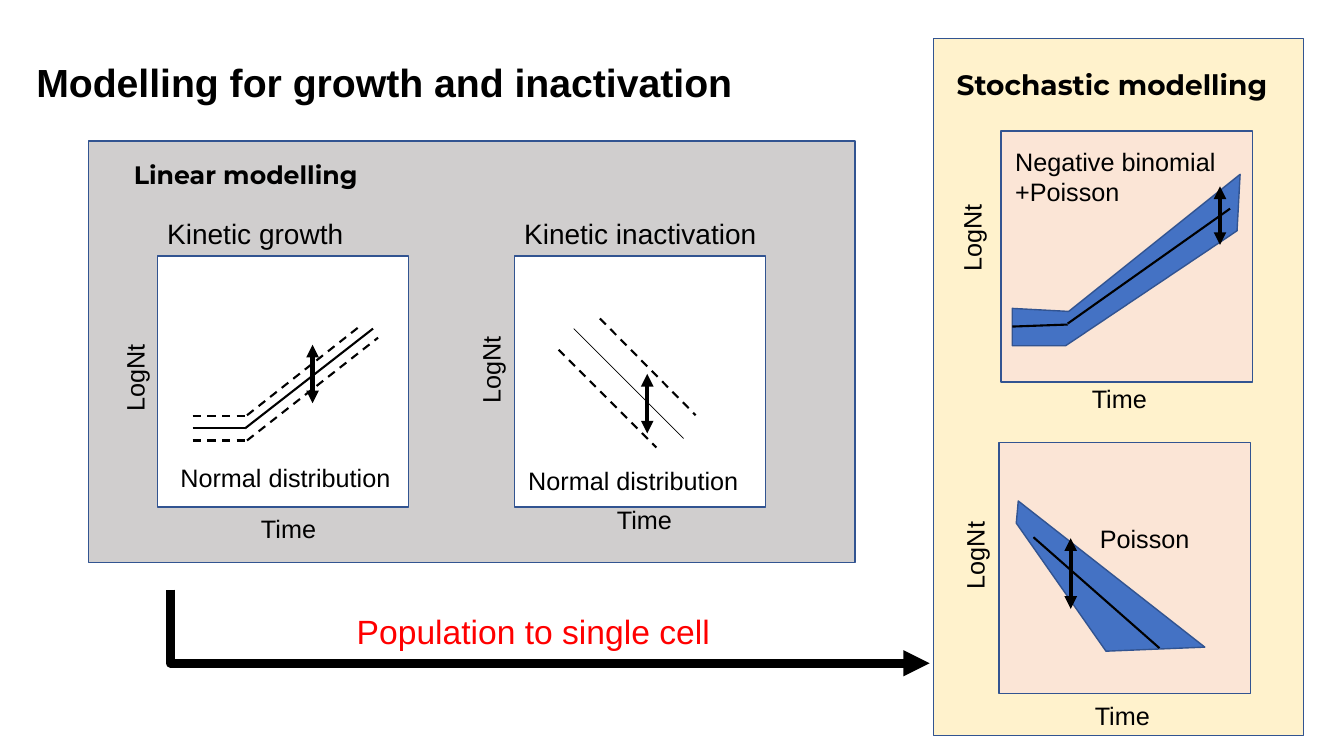
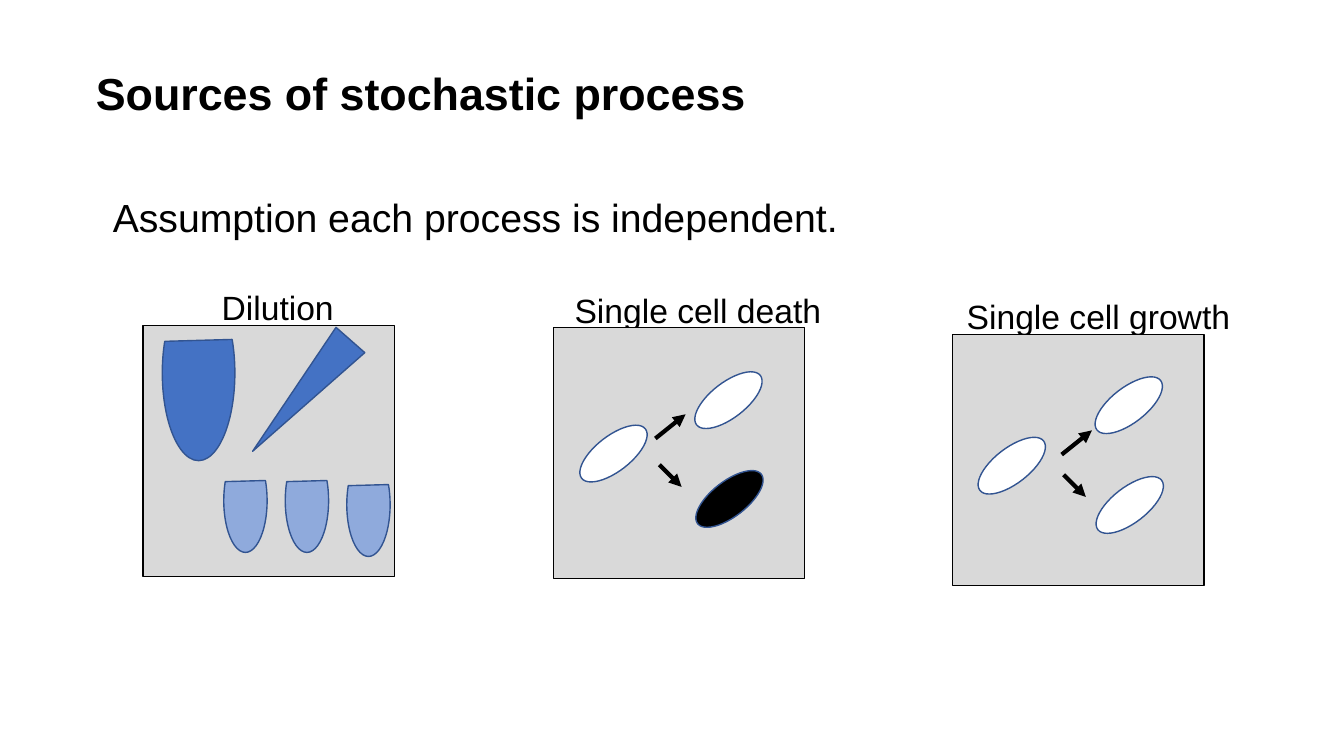
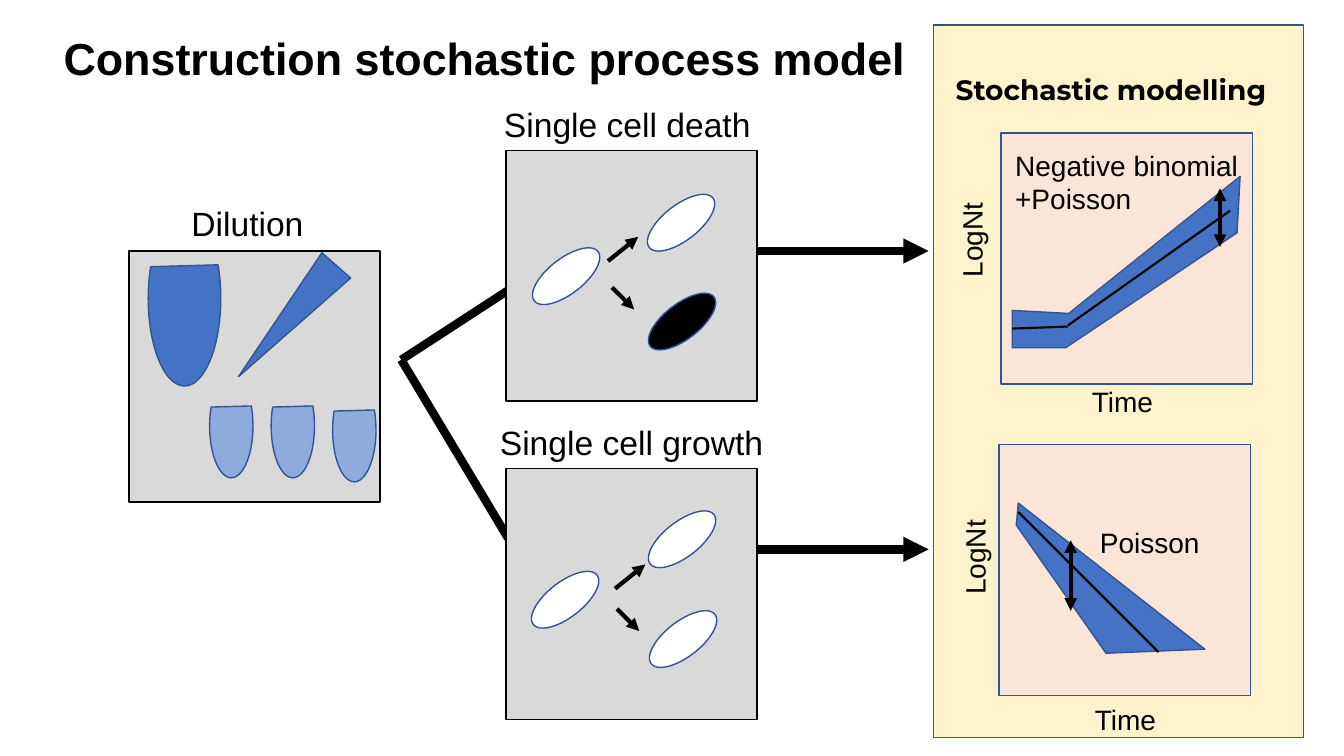
from dataclasses import dataclass

from lxml.etree import SubElement
from pptx import Presentation
from pptx.dml.color import RGBColor
from pptx.enum.dml import MSO_LINE_DASH_STYLE as Dash
from pptx.enum.shapes import MSO_CONNECTOR as Link, MSO_SHAPE as Preset
from pptx.enum.text import MSO_ANCHOR as Anchor, MSO_AUTO_SIZE as AutoSize, PP_ALIGN as Align
from pptx.oxml.ns import qn
from pptx.util import Pt

PX = 9144
PLOT_SIDE = 249


@dataclass(frozen=True)
class Theme:
    font: str = "Arial"
    heading_font: str = "Montserrat"
    ink: str = "000000"
    accent: str = "FF0000"
    outline: str = "325491"
    white: str = "FFFFFF"
    linear_panel: str = "D0CECE"
    stochastic_panel: str = "FFF2CC"
    stochastic_plot: str = "FBE5D6"
    process_box: str = "D9D9D9"
    liquid: str = "4472C4"
    diluted: str = "8FAADC"
    title: int = 32
    compact_title: int = 28
    process: int = 24
    heading: int = 20
    small: int = 18
    hairline: float = 0.5
    border: float = 1
    curve: float = 1.5
    arrow: float = 3
    flow: float = 6


THEME = Theme()


def rgb(value):
    return RGBColor.from_string(value)


def emu(*lengths):
    return [length * PX for length in lengths]


def paint(shape, fill, outline=THEME.outline):
    shape.shadow.inherit = False
    shape.fill.solid()
    shape.fill.fore_color.rgb = rgb(fill)
    shape.line.color.rgb = rgb(outline)
    shape.line.width = Pt(THEME.border)


def figure(slide, preset, box, fill, outline=THEME.outline, rotation=0):
    shape = slide.shapes.add_shape(preset, *emu(*box))
    shape.rotation = rotation
    paint(shape, fill, outline)
    return shape


def band(slide, points, fill):
    builder = slide.shapes.build_freeform(*points[0], scale=PX)
    builder.add_line_segments(points[1:], close=True)
    paint(builder.convert_to_shape(), fill)


def write(shape, text, size, font=THEME.font, color=THEME.ink, bold=False,
          align=Align.LEFT, anchor=Anchor.TOP):
    frame = shape.text_frame
    frame.text = text
    frame.word_wrap = False
    frame.auto_size = AutoSize.NONE
    frame.vertical_anchor = anchor
    for paragraph in frame.paragraphs:
        paragraph.alignment = align
        paragraph.font.name = font
        paragraph.font.size = Pt(size)
        paragraph.font.bold = bold
        paragraph.font.color.rgb = rgb(color)


def label(slide, text, box, size, **style):
    write(slide.shapes.add_textbox(*emu(*box)), text, size, **style)


def vertical_label(slide, text, center, size):
    width, height = 95, 44
    x, y = center
    box = slide.shapes.add_textbox(*emu(x - width // 2, y - height // 2, width, height))
    box.rotation = 270
    write(box, text, size, align=Align.CENTER, anchor=Anchor.MIDDLE)


def connect(slide, ends, width, heads=(), dashed=False, kind=Link.STRAIGHT):
    link = slide.shapes.add_connector(kind, *emu(*ends))
    link.line.color.rgb = rgb(THEME.ink)
    link.line.width = Pt(width)
    if dashed:
        link.line.dash_style = Dash.DASH
    properties = link._element.spPr
    stroke = properties.find(qn("a:ln"))
    for head in heads:
        SubElement(stroke, qn(f"a:{head}"), type="triangle")
    SubElement(properties, qn("a:effectLst"))
    return link


def arrow(slide, ends, width=THEME.arrow):
    return connect(slide, ends, width, ["tailEnd"])


def spread_arrow(slide, x, top, bottom):
    connect(slide, (x, top, x, bottom), THEME.arrow, ["headEnd", "tailEnd"])


def corner_arrow(slide, ends):
    link = connect(slide, ends, 6.25, ["tailEnd"], kind=Link.ELBOW)
    guides = link._element.spPr.find(qn("a:prstGeom")).get_or_add_avLst()
    SubElement(guides, qn("a:gd"), name="adj1", fmla="val 0")


def titled_slide(deck, text, box, size):
    slide = deck.slides.add_slide(deck.slide_layouts.get_by_name("Title Only"))
    title = slide.shapes.title
    title.left, title.top, title.width, title.height = emu(*box)
    write(title, text, size, bold=True)
    return slide


def scaled_width(width, size):
    return round((width - 20) * size / THEME.small) + 20


def axis_labels(slide, time_at, log_center, size):
    label(slide, "Time", (*time_at, scaled_width(75, size), 2 * size + 4), size)
    vertical_label(slide, "LogNt", log_center, size)


def kinetic_plot(slide, name, left, name_width, note_at, time_at, log_center):
    label(slide, name, (left, 210, name_width, 44), THEME.heading)
    figure(slide, Preset.RECTANGLE, (left, 254, PLOT_SIDE, PLOT_SIDE), THEME.white)
    label(slide, "Normal distribution", (*note_at, 231, 40), THEME.small)
    axis_labels(slide, time_at, log_center, THEME.small)


def stochastic_panel(slide, top, height, heading_at, shift, size, decay_mean):
    def lowered(points):
        return [(x, y + shift) for x, y in points]

    def mean_line(x1, y1, x2, y2):
        connect(slide, (x1, y1 + shift, x2, y2 + shift), THEME.curve)

    def note(text, x, y, width, lines=1):
        box = (x, y + shift, scaled_width(width, size), lines * 2 * size + 4)
        label(slide, text, box, size)

    figure(slide, Preset.RECTANGLE, (926, top, 367, height), THEME.stochastic_panel)
    for x, y in lowered([(991, 439), (993, 130)]):
        figure(slide, Preset.RECTANGLE, (x, y, PLOT_SIDE, PLOT_SIDE), THEME.stochastic_plot)
    band(slide, lowered([(1010, 497), (1008, 519), (1097, 646), (1195, 642)]), THEME.liquid)
    band(slide, lowered([(1004, 306), (1004, 343), (1057, 343), (1227, 229),
                         (1230, 173), (1060, 309)]), THEME.liquid)
    mean_line(1004, 324, 1059, 322)
    mean_line(1059, 321, 1220, 207)
    mean_line(*decay_mean)
    spread_arrow(slide, 1210, 185 + shift, 243 + shift)
    spread_arrow(slide, 1062, 534 + shift, 604 + shift)
    note("Negative binomial\n+Poisson", 997, 140, 223, 2)
    note("Poisson", 1081, 514, 117)
    for time_at, log_center in [((1073, 375), (963, 236)), ((1076, 690), (966, 551))]:
        axis_labels(slide, *lowered([time_at, log_center]), size)
    label(slide, "Stochastic modelling", (*heading_at, 344, 44), THEME.heading,
          font=THEME.heading_font, bold=True)


def process_box(slide, name, at, name_box):
    label(slide, name, (*name_box, 50), THEME.process)
    figure(slide, Preset.RECTANGLE, (*at, PLOT_SIDE, PLOT_SIDE), THEME.process_box, THEME.ink)


def dilution(slide, at, name_box):
    process_box(slide, "Dilution", at, name_box)
    left, top = at
    tubes = [(-32, 11, 174, 72, THEME.liquid)]
    tubes += [(x, y, 103, 43, THEME.diluted) for x, y in [(172, 156), (111, 152), (50, 152)]]
    for x, y, length, width, fill in tubes:
        tube = figure(slide, Preset.CHORD, (left + x, top + y, length, width), fill, rotation=270)
        tube.adjustments[0] = 27
        tube.adjustments[1] = 187.84
    figure(slide, Preset.ISOSCELES_TRIANGLE, (left + 138, top - 4, 38, 147),
           THEME.liquid, rotation=221.3)


def cell_fate(slide, name, at, name_box, cells, rise_from, fall_from):
    process_box(slide, name, at, name_box)
    left, top = at
    for x, y, fill in cells:
        figure(slide, Preset.OVAL, (left + x, top + y, 35, 80), fill, rotation=52.2)
    for (x, y), (run, drop) in [(rise_from, (30, -24)), (fall_from, (22, 22))]:
        x, y = left + x, top + y
        arrow(slide, (x, y, x + run, y + drop))


def cell_death(slide, at, name_at):
    cells = [(42, 85, THEME.white), (156, 32, THEME.white), (157, 130, THEME.ink)]
    cell_fate(slide, "Single cell death", at, (*name_at, 268), cells, (101, 110), (105, 136))


def cell_growth(slide, at, name_at):
    cells = [(41, 90, THEME.white), (157, 30, THEME.white), (158, 129, THEME.white)]
    cell_fate(slide, "Single cell growth", at, (*name_at, 284), cells, (108, 119), (110, 139))


def modelling_slide(deck):
    slide = titled_slide(deck, "Modelling for growth and inactivation",
                         (26, 53, 719, 57), THEME.compact_title)
    figure(slide, Preset.RECTANGLE, (88, 140, 760, 418), THEME.linear_panel)
    label(slide, "Linear modelling", (123, 153, 250, 40), THEME.small,
          font=THEME.heading_font, bold=True)
    kinetic_plot(slide, "Kinetic growth", 156, 196, (169, 454), (249, 504), (133, 375))
    kinetic_plot(slide, "Kinetic inactivation", 510, 253, (514, 457), (602, 495), (486, 367))
    for ends in [(191, 425, 243, 425), (243, 425, 370, 326)]:
        connect(slide, ends, THEME.curve)
    connect(slide, (569, 326, 678, 435), THEME.hairline)
    for ends in [(191, 413, 243, 413), (191, 437, 243, 437), (245, 412, 359, 322),
                 (245, 437, 375, 335), (595, 316, 690, 412), (554, 347, 651, 444)]:
        connect(slide, ends, THEME.curve, dashed=True)
    spread_arrow(slide, 310, 342, 400)
    spread_arrow(slide, 642, 371, 430)
    stochastic_panel(slide, 38, 692, (939, 62), 0, THEME.small, (1025, 533, 1150, 643))
    label(slide, "Population to single cell", (344, 601, 374, 50), THEME.process,
          color=THEME.accent)
    corner_arrow(slide, (169, 585, 922, 658))


def sources_slide(deck):
    slide = titled_slide(deck, "Sources of stochastic process", (85, 60, 670, 64), THEME.title)
    label(slide, "Assumption each process is independent.", (102, 187, 748, 57),
          THEME.compact_title)
    dilution(slide, (142, 323), (210, 280, 133))
    cell_death(slide, (549, 325), (560, 283))
    cell_growth(slide, (945, 332), (949, 289))


def construction_slide(deck):
    slide = titled_slide(deck, "Construction stochastic process model",
                         (53, 25, 861, 64), THEME.title)
    stochastic_panel(slide, 25, 707, (938, 67), 2, THEME.heading, (1010, 506, 1149, 645))
    for branch_end in [(564, 249), (504, 534)]:
        connect(slide, (398, 357, *branch_end), THEME.flow)
    for y in (249, 545):
        arrow(slide, (564, y, 921, y), THEME.flow)
    dilution(slide, (128, 249), (180, 196, 133))
    cell_death(slide, (502, 149), (490, 98))
    cell_growth(slide, (502, 465), (486, 414))


def main():
    deck = Presentation()
    deck.slide_width, deck.slide_height = emu(1333, 750)
    modelling_slide(deck)
    sources_slide(deck)
    construction_slide(deck)
    deck.save("out.pptx")


if __name__ == "__main__":
    main()
